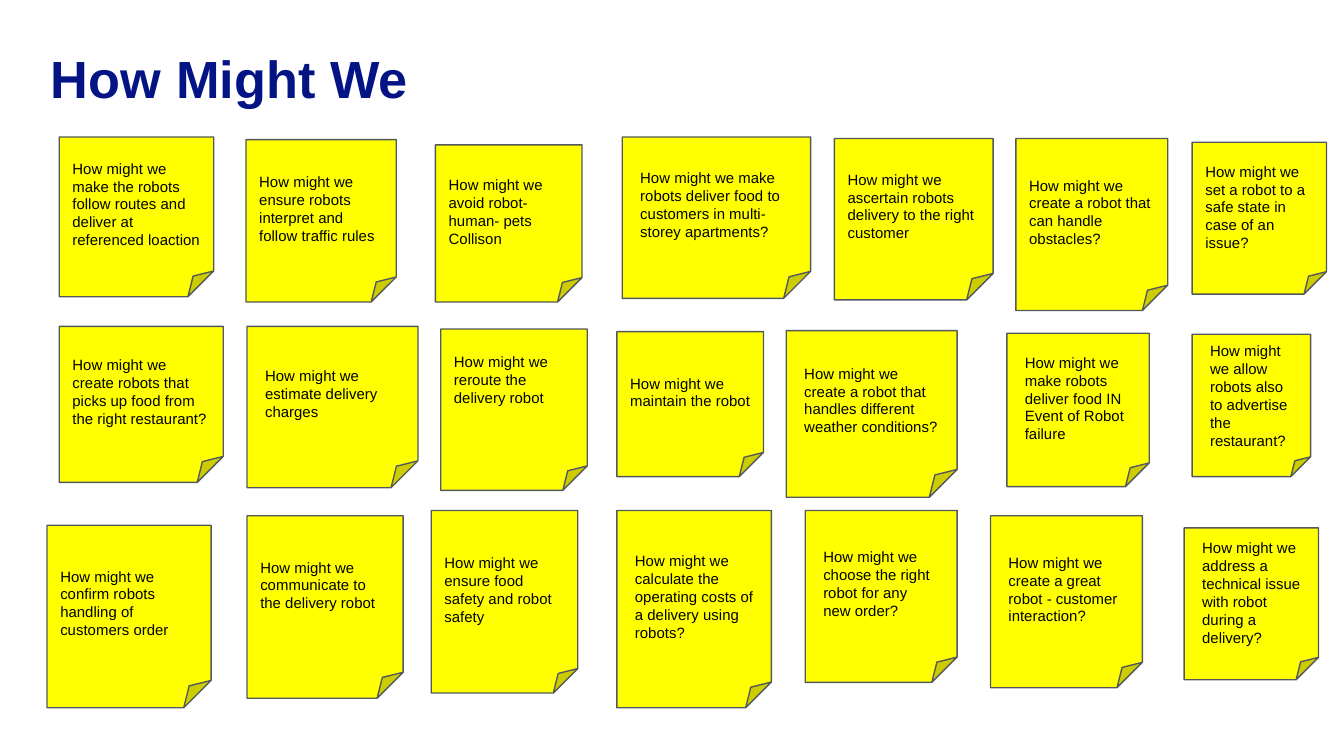
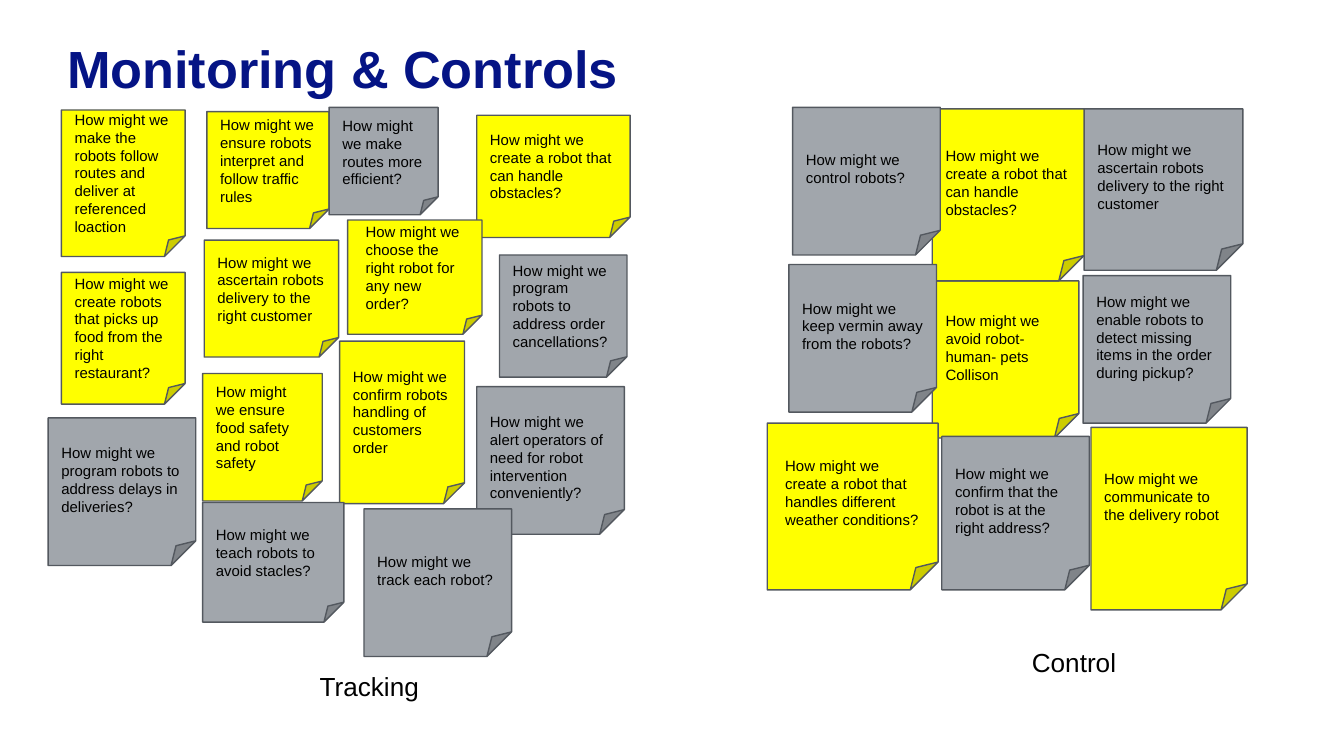
from typing import NamedTuple

from lxml.etree import SubElement
from pptx import Presentation
from pptx.dml.color import RGBColor
from pptx.enum.shapes import MSO_SHAPE
from pptx.enum.text import MSO_ANCHOR, MSO_AUTO_SIZE, PP_ALIGN
from pptx.util import Cm, Pt

# Shared colours and formats
YELLOW = RGBColor(0xFF, 0xFF, 0x00)
GREY = RGBColor(0xA1, 0xA6, 0xAC)
OUTLINE = RGBColor(0x53, 0x58, 0x5F)
BLACK = RGBColor(0x00, 0x00, 0x00)
NAVY = RGBColor(0x05, 0x14, 0x85)
SLATE = RGBColor(0x2D, 0x3D, 0x4A)

TITLE_FONT = {"name": "Arial", "size": Pt(28), "bold": True}
GAP_FONT = {"name": "Open Sans", "size": Pt(32), "bold": False}
NOTE_FONT = {"name": "Arial", "size": Pt(8)}
CAPTION_FONT = {"name": "Arial", "size": Pt(14)}

NARROW, WIDE = 0.25, 0.34  # note margins in cm
LINE = 0.34  # height of one line of note text in cm

# Questions asked on both slides
ROUTES = "make the robots follow routes and deliver at referenced loaction"
TRAFFIC = "ensure robots interpret and follow traffic rules"
COLLISION = "avoid robot-human- pets Collison"
SAFETY = "ensure food safety and robot safety"
CUSTOMER = "ascertain robots delivery to the right customer"
COMMUNICATE = "communicate to the delivery robot"
PICKUP = "create robots that picks up food from the right restaurant?"
HANDLING = "confirm robots handling of customers order"
WEATHER = "create a robot that handles different weather conditions?"
OBSTACLES = "create a robot that can handle obstacles?"
CHOICE = "choose the right robot for any new order?"


class Note(NamedTuple):
    """A sticky note; lengths in cm, position relative to its board."""
    x: float
    y: float
    width: float
    height: float
    question: str
    fill: RGBColor = YELLOW
    margin: float = NARROW
    lift: int = 0  # lines kept free below the text, or above if negative


ROBOT_ROW = [
    Note(0.23, 0, 2.92, 3.02, ROUTES),
    Note(3.76, 0.05, 2.84, 3.07, TRAFFIC),
    Note(7.34, 0.15, 2.77, 2.97, COLLISION),
    Note(10.87, 0, 3.56, 3.05, "make robots deliver food to customers in "
         "multi-storey apartments?", margin=WIDE),
    Note(14.88, 0.03, 3, 3.05, CUSTOMER),
    Note(18.31, 0.03, 2.87, 3.25, OBSTACLES),
    Note(21.64, 0.1, 2.54, 2.87,
         "set a robot to a safe state in case of an issue?"),
]
DELIVERY_ROW = [
    Note(0.23, 0, 3.1, 2.95, PICKUP),
    Note(3.78, 0, 3.23, 3.05, "estimate delivery charges", margin=WIDE),
    Note(7.44, 0.05, 2.77, 3.05, "reroute the delivery robot", lift=2),
    Note(10.77, 0.1, 2.77, 2.74, "maintain the robot"),
    Note(13.97, 0.08, 3.23, 3.15, WEATHER, margin=WIDE),
    Note(18.14, 0.13, 2.69, 2.9,
         "make robots deliver food IN Event of Robot failure", margin=WIDE),
    Note(21.64, 0.15, 2.24, 2.69,
         "allow robots also to advertise the restaurant?", margin=WIDE),
]
SERVICE_ROW = [
    Note(0, 0.28, 3.1, 3.45, HANDLING),
    Note(3.78, 0.1, 2.95, 3.45, COMMUNICATE, lift=1),
    Note(7.26, 0, 2.77, 3.45, SAFETY),
    Note(10.77, 0, 2.92, 3.73, "calculate the operating costs of a delivery "
         "using robots?", margin=WIDE),
    Note(14.33, 0, 2.87, 3.25, CHOICE, margin=WIDE),
    Note(17.83, 0.1, 2.87, 3.25,
         "create a great robot - customer interaction?", margin=WIDE),
    Note(21.49, 0.33, 2.54, 2.87, "address a technical issue with robot "
         "during a delivery?", margin=WIDE),
]
TRACKING = [
    Note(0.25, 0.05, 2.34, 2.77, ROUTES),
    Note(3, 0.08, 2.31, 2.21, TRAFFIC),
    Note(2.92, 5.03, 2.26, 2.41, SAFETY),
    Note(2.95, 2.51, 2.54, 2.21, CUSTOMER),
    Note(0.25, 3.12, 2.34, 2.49, PICKUP),
    Note(5.51, 4.42, 2.36, 3.07, HANDLING),
    Note(8.1, 0.15, 2.9, 2.31, OBSTACLES),
    Note(5.66, 2.13, 2.54, 2.16, CHOICE, margin=WIDE),
    Note(2.92, 7.47, 2.67, 2.26, "teach robots to avoid stacles?", GREY),
    Note(5.31, 0, 2.06, 2.03, "make routes more efficient?", GREY),
    Note(8.53, 2.79, 2.41, 2.31,
         "program robots to address order cancellations?", GREY),
    Note(8.1, 5.28, 2.79, 2.79, "alert operators of need for robot "
         "intervention conveniently?", GREY, lift=-1),
    Note(0, 5.87, 2.79, 2.79,
         "program robots to address delays in deliveries?", GREY),
    Note(5.97, 7.59, 2.79, 2.79, "track each robot?", GREY),
]
CONTROL = [
    Note(3.12, 3.28, 2.77, 2.97, COLLISION),
    Note(5.99, 0.03, 3, 3.05, CUSTOMER, GREY),
    Note(3.12, 0.03, 2.87, 3.25, OBSTACLES),
    Note(3.3, 6.22, 2.79, 2.9,
         "confirm that the robot is at the right address?", GREY),
    Note(5.97, 3.18, 2.79, 2.79, "enable robots to detect missing items in "
         "the order during pickup?", GREY),
    Note(0.48, 0, 2.79, 2.79, "control robots?", GREY),
    Note(0.41, 2.97, 2.79, 2.79, "keep vermin away from the robots?", GREY),
    Note(6.12, 6.05, 2.95, 3.45, COMMUNICATE, lift=1),
    Note(0, 5.97, 3.23, 3.15, WEATHER, margin=WIDE),
]


def set_format(target, values):
    for attribute, value in values.items():
        setattr(target, attribute, value)


def add_run(paragraph, text, font, color):
    run = paragraph.add_run()
    run.text = text
    set_format(run.font, font)
    run.font.color.rgb = color


def add_title(slide, left, top, parts):
    """Title line made of (text, font, colour) parts."""
    title = slide.shapes.add_textbox(Cm(left), Cm(top), Cm(23.67), Cm(1.6))
    margins = {f"margin_{side}": Cm(0.1)
               for side in ("left", "top", "right", "bottom")}
    set_format(title.text_frame, {
        "word_wrap": True, "vertical_anchor": MSO_ANCHOR.MIDDLE, **margins})
    for part in parts:
        add_run(title.text_frame.paragraphs[0], *part)


def add_note(slide, left, top, note):
    """One folded sticky note on the board that starts at left, top."""
    sticky = slide.shapes.add_shape(
        MSO_SHAPE.FOLDED_CORNER, Cm(left + note.x), Cm(top + note.y),
        Cm(note.width), Cm(note.height))
    sticky.shadow.inherit = False
    sticky.fill.solid()
    sticky.fill.fore_color.rgb = note.fill
    sticky.line.color.rgb = OUTLINE
    sticky.line.width = Pt(0.75)

    # Free lines are taken from the margin above or below the text
    set_format(sticky.text_frame, {
        "word_wrap": True,
        "vertical_anchor": MSO_ANCHOR.MIDDLE,
        "margin_left": Cm(note.margin),
        "margin_right": Cm(note.margin),
        "margin_top": Cm(note.margin + LINE * max(-note.lift, 0)),
        "margin_bottom": Cm(note.margin + LINE * max(note.lift, 0)),
    })
    paragraph = sticky.text_frame.paragraphs[0]
    paragraph.alignment = PP_ALIGN.LEFT
    add_run(paragraph, f"How might we {note.question}", NOTE_FONT, BLACK)


def add_board(slide, left, top, notes):
    for note in notes:
        add_note(slide, left, top, note)


def add_caption(slide, left, top, text):
    caption = slide.shapes.add_textbox(Cm(left), Cm(top), Cm(2.74), Cm(0.86))
    set_format(caption.text_frame, {
        "word_wrap": True, "auto_size": MSO_AUTO_SIZE.SHAPE_TO_FIT_TEXT})
    add_run(caption.text_frame.paragraphs[0], text, CAPTION_FONT, BLACK)


def build_questions(slide):
    """All questions in three rows."""
    for top, row in ((2.59, ROBOT_ROW), (6.17, DELIVERY_ROW),
                     (9.65, SERVICE_ROW)):
        add_board(slide, 0.89, top, row)
    add_title(slide, 0.86, 0.61, [
        ("How", TITLE_FONT, NAVY),
        (" ", GAP_FONT, SLATE),
        ("Might We", TITLE_FONT, NAVY),
    ])


def build_monitoring(slide):
    """Questions clustered on two captioned boards."""
    add_title(slide, 1.17, 0.48, [("Monitoring & Controls", TITLE_FONT, NAVY)])
    for left, notes, caption, dx, dy in (
            (0.91, TRACKING, "Tracking", 4.88, 10.52),
            (14.5, CONTROL, "Control", 4.75, 10.06)):
        top = 2.03
        add_board(slide, left, top, notes)
        add_caption(slide, left + dx, top + dy, caption)


def main():
    deck = Presentation()
    deck.slide_width, deck.slide_height = Cm(25.4), Cm(14.29)
    for build in (build_questions, build_monitoring):
        build(deck.slides.add_slide(deck.slide_layouts[6]))
    deck.save("out.pptx")


if __name__ == "__main__":
    main()
